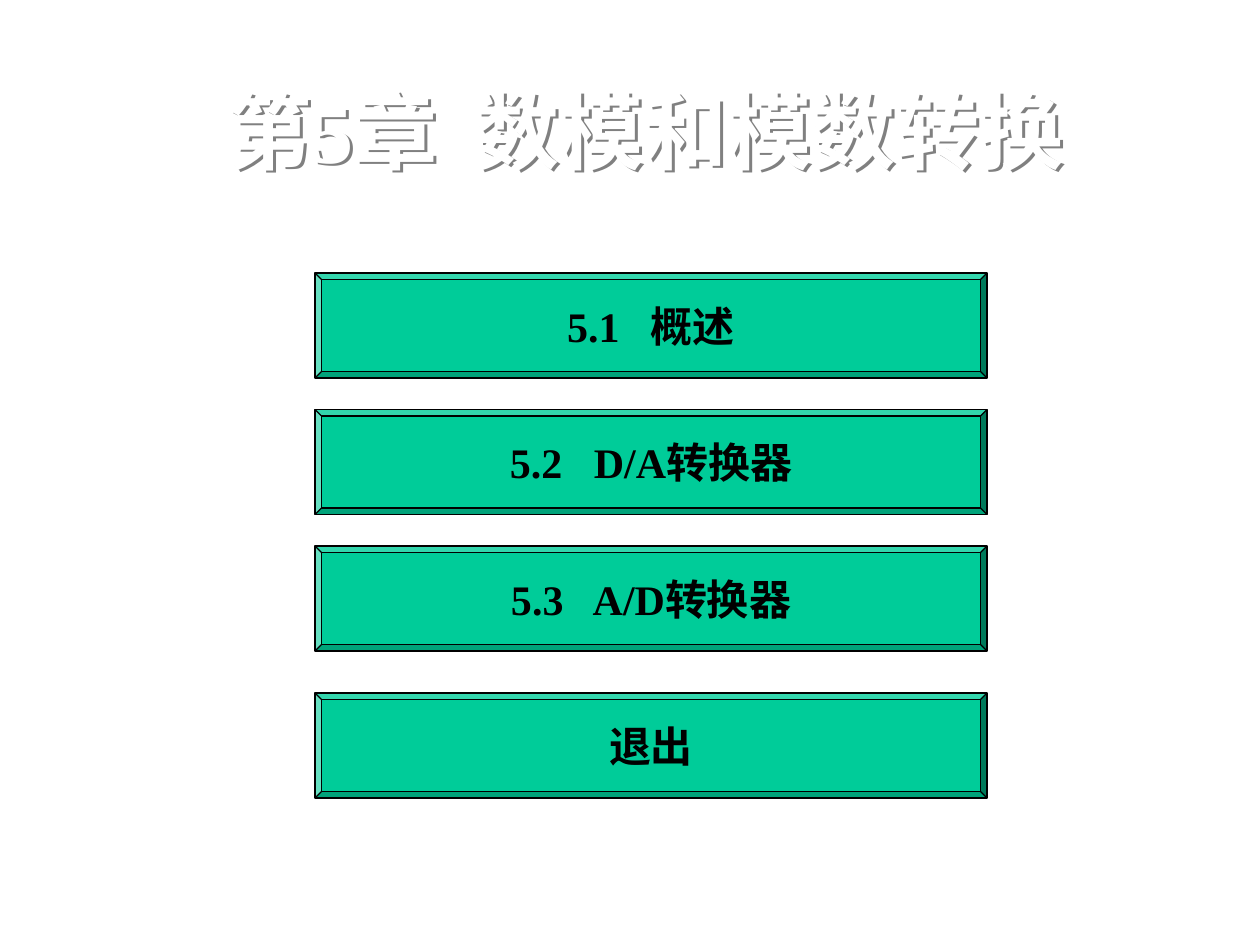
import pptx
import pptx.util
import pptx.dml.color
import pptx.enum.shapes
import pptx.enum.text
import pptx.oxml
import pptx.oxml.ns

WHITE = pptx.dml.color.RGBColor(0xFF, 0xFF, 0xFF)
BLACK = pptx.dml.color.RGBColor(0x00, 0x00, 0x00)
GREEN = pptx.dml.color.RGBColor(0x00, 0xCC, 0x99)
GREY = pptx.dml.color.RGBColor(0x80, 0x80, 0x80)

FONT = "Times New Roman"
GRID = pptx.util.Inches(1) // 12  # one column or row
BUTTON_LEFT, BUTTON_WIDTH, BUTTON_HEIGHT = 30, 64, 10
# Sections follow each other every 13 rows; the exit button stands one row lower
BUTTONS = [
    (26, "5.1   概述"),
    (39, "5.2   D/A转换器"),
    (52, "5.3   A/D转换器"),
    (66, "退出"),
]


def write_text(shape, text, *, size, color, anchor, wrap):
    """Write one centred bold paragraph."""
    frame = shape.text_frame
    frame.auto_size = pptx.enum.text.MSO_AUTO_SIZE.NONE
    frame.word_wrap = wrap
    frame.vertical_anchor = anchor
    para = frame.paragraphs[0]
    para.alignment = pptx.enum.text.PP_ALIGN.CENTER
    span = para.add_run()
    span.text = text
    span.font.name = FONT
    span.font.size = pptx.util.Pt(size)
    span.font.bold = True
    span.font.color.rgb = color


def add_shadow(shape, color):
    """Cast a sharp shadow; on an unfilled shape it falls from the letters."""
    shape.fill.background()
    effects = pptx.oxml.parse_xml(
        f'<a:effectLst {pptx.oxml.ns.nsdecls("a")}>'
        '<a:outerShdw dist="25400" dir="2700000" algn="ctr" rotWithShape="0">'
        f'<a:srgbClr val="{color}"/></a:outerShdw></a:effectLst>'
    )
    shape.element.spPr.append(effects)


def set_title(page, text):
    title = page.shapes.title
    title.left, title.top = pptx.util.Inches(1.5), pptx.util.Inches(0.58)
    title.width, title.height = pptx.util.Inches(7.25), pptx.util.Inches(1.7)
    write_text(title, text, size=48, color=WHITE, wrap=True,
               anchor=pptx.enum.text.MSO_ANCHOR.TOP)
    add_shadow(title, GREY)


def add_button(page, row, text):
    button = page.shapes.add_shape(
        pptx.enum.shapes.MSO_SHAPE.BEVEL,
        BUTTON_LEFT * GRID, row * GRID,
        BUTTON_WIDTH * GRID, BUTTON_HEIGHT * GRID,
    )
    button.adjustments[0] = 1 / 16
    button.shadow.inherit = False
    button.fill.solid()
    button.fill.fore_color.rgb = GREEN
    button.line.color.rgb = BLACK
    button.line.width = pptx.util.Pt(0.75)
    write_text(button, text, size=24, color=BLACK, wrap=False,
               anchor=pptx.enum.text.MSO_ANCHOR.MIDDLE)


def main():
    deck = pptx.Presentation()
    deck.slide_width = pptx.util.Inches(10)
    deck.slide_height = pptx.util.Inches(7.5)
    page = deck.slides.add_slide(deck.slide_layouts[5])
    page.background.fill.solid()
    page.background.fill.fore_color.rgb = WHITE

    # Chapter title
    set_title(page, "第5章  数模和模数转换")

    # Menu of sections
    for row, text in BUTTONS:
        add_button(page, row, text)

    deck.save("out.pptx")


if __name__ == "__main__":
    main()
